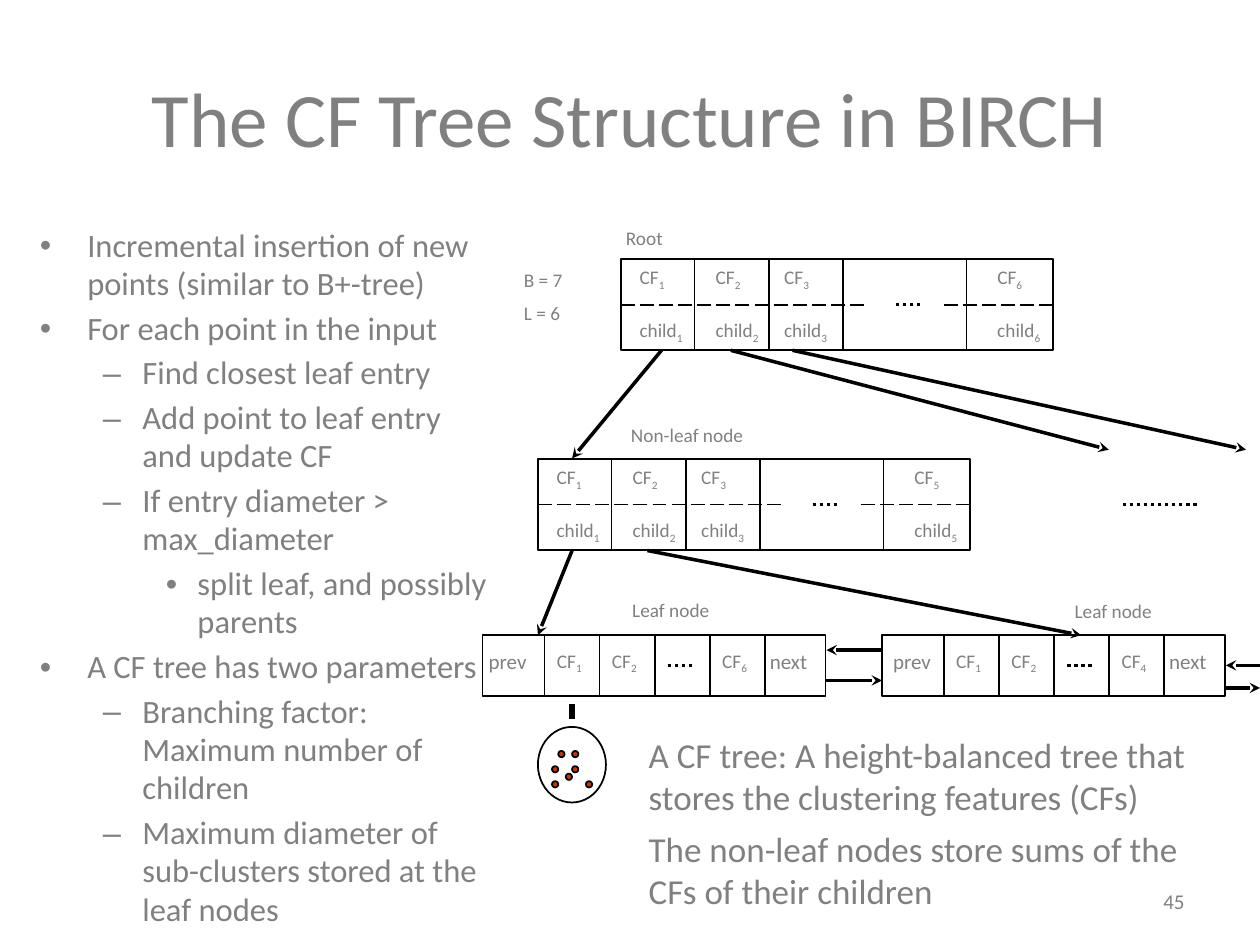
from dataclasses import dataclass

from lxml import etree
from pptx import Presentation
from pptx.dml.color import RGBColor
from pptx.enum import dml, shapes, text
from pptx.oxml.ns import qn
from pptx.util import Pt

COLOURS = {"text": "808080", "line": "000000", "point": "CC3300"}
FONT = "Calibri"
DASH = dml.MSO_LINE.LONG_DASH
DOTS = dml.MSO_LINE.ROUND_DOT
INNER_WIDTH, INNER_HEIGHT = 247, 52.2
LEAF_WIDTH, LEAF_HEIGHT = 196, 34.6
FIRST_CELL, CELL = 35.3, 31.5


@dataclass
class InnerNode:
    left: float
    top: float
    last: str


@dataclass
class LeafNode:
    left: float
    last: str
    prev_shift: float


@dataclass
class Label:
    words: str
    left: float
    top: float
    width: float


@dataclass
class Level:
    margin: float
    hang: float
    bullet: str


@dataclass
class Arrow:
    start: tuple[float, float]
    end: tuple[float, float]


LEVELS = [Level(27, 27, "•"), Level(58.5, 22.5, "–"), Level(90, 18, "•")]
BULLETS = [
    (0, "Incremental insertion of new points (similar to B+-tree)"),
    (0, "For each point in the input"),
    (1, "Find closest leaf entry"),
    (1, "Add point to leaf entry and update CF"),
    (1, "If entry diameter > max_diameter"),
    (2, "split leaf, and possibly parents"),
    (0, "A CF tree has two parameters"),
    (1, "Branching factor: Maximum number of children"),
    (1, "Maximum diameter of sub-clusters stored at the leaf nodes"),
]
INNER_NODES = [InnerNode(354.8, 148, "6"), InnerNode(307.4, 262.2, "5")]
LEAF_TOP = 363
LEAF_NODES = [LeafNode(275.8, "6", -3.6), LeafNode(504, "4", -0.7)]
LABELS = [
    Label("Root", 350.6, 126, 51),
    Label("Non-leaf node", 353.5, 238.3, 102),
    Label("Leaf node", 354.2, 338.4, 75),
    Label("Leaf node", 607, 339.1, 75),
]
ARROWS = [
    Arrow((378, 200.2), (326.9, 262)),
    Arrow((417.6, 200.2), (633.6, 257)),
    Arrow((452.9, 200.2), (712, 257)),
    Arrow((326.9, 314.6), (307.4, 363)),
    Arrow((370, 314.6), (617.8, 363)),
    Arrow((504, 371.5), (472.3, 371.5)),
    Arrow((472.3, 388.8), (504, 388.8)),
    Arrow((700.5, 393.1), (720, 393.1)),
    Arrow((720, 380.2), (700.5, 380.2)),
]
POINTS = [(319, 429.1), (326.9, 437.8), (326.9, 429.1), (315.4, 446.4),
          (315.4, 437.8), (323.3, 442.1), (334.8, 446.4)]


def colour(name: str) -> RGBColor:
    return RGBColor.from_string(COLOURS[name])


def add_span(para, words: str, size: float, subscript: bool = False) -> None:
    span = para.add_run()
    span.text = words
    span.font.size = Pt(size)
    span.font.name = FONT
    span.font.color.rgb = colour("text")
    if subscript:
        span.font._element.set("baseline", "-25000")


def add_box(page, left: float, top: float, width: float, height: float):
    box = page.shapes.add_textbox(Pt(left), Pt(top), Pt(width), Pt(height))
    box.text_frame.word_wrap = True
    return box.text_frame


def add_paras(frame, lines: list[str], size: float, gap: float) -> None:
    for index, words in enumerate(lines):
        para = frame.add_paragraph() if index else frame.paragraphs[0]
        if index:
            para.space_before = Pt(gap)
        add_span(para, words, size)


def add_label(page, label: Label, size: float = 11, index: str = "") -> None:
    """Write a short label, with an optional subscript index."""
    frame = add_box(page, label.left, label.top, label.width, 21)
    para = frame.paragraphs[0]
    add_span(para, label.words, size)
    if index:
        add_span(para, index, size, subscript=True)


def add_line(page, start, end, width: float = 1, dash=None, arrow: bool = False) -> None:
    line = page.shapes.add_connector(
        shapes.MSO_CONNECTOR.STRAIGHT, *(Pt(value) for value in (*start, *end)))
    line.line.color.rgb = colour("line")
    line.line.width = Pt(width)
    if dash is not None:
        line.line.dash_style = dash
    if arrow:
        etree.SubElement(line.line._get_or_add_ln(), qn("a:tailEnd"), type="stealth")
    etree.SubElement(line._element.spPr, qn("a:effectLst"))


def add_outline(page, kind, left: float, top: float, width: float, height: float,
                fill: str = "") -> None:
    shape = page.shapes.add_shape(kind, Pt(left), Pt(top), Pt(width), Pt(height))
    shape.shadow.inherit = False
    shape.line.color.rgb = colour("line")
    shape.line.width = Pt(1)
    if fill:
        shape.fill.solid()
        shape.fill.fore_color.rgb = colour(fill)
    else:
        shape.fill.background()


def add_inner_node(page, node: InnerNode) -> None:
    left, top = node.left, node.top
    add_outline(page, shapes.MSO_SHAPE.RECTANGLE, left, top, INNER_WIDTH, INNER_HEIGHT)
    for offset in (42, 84.5, 127, 197.5):
        add_line(page, (left + offset, top), (left + offset, top + INNER_HEIGHT))
    middle = top + INNER_HEIGHT / 2
    for start, end in ((0, 141.5), (184.5, INNER_WIDTH)):
        add_line(page, (left + start, middle), (left + end, middle), dash=DASH)
    add_line(page, (left + 157, middle), (left + 172.5, middle), 2, DOTS)
    for offset, index in zip((3.6, 47, 86.2, 208), ("1", "2", "3", node.last)):
        add_label(page, Label("CF", left + offset, top, 35.3), index=index)
        add_label(page, Label("child", left + offset, top + 30.4, 47.5), index=index)


def add_leaf_node(page, node: LeafNode) -> None:
    left, text_top = node.left, LEAF_TOP + 4.2
    add_outline(page, shapes.MSO_SHAPE.RECTANGLE, left, LEAF_TOP, LEAF_WIDTH, LEAF_HEIGHT)
    for column, index in enumerate(("1", "2", "", node.last, "")):
        x = left + FIRST_CELL + column * CELL
        add_line(page, (x, LEAF_TOP), (x, LEAF_TOP + LEAF_HEIGHT))
        if index:
            add_label(page, Label("CF", x, text_top, 35.3), index=index)
    middle = LEAF_TOP + LEAF_HEIGHT / 2
    add_line(page, (left + 105.8, middle), (left + 121.6, middle), 2, DOTS)
    add_label(page, Label("prev", left + node.prev_shift, text_top, 43.2), 12)
    add_label(page, Label("next", left + 157, text_top, 39.6), 12)


def add_bullets(page) -> None:
    frame = add_box(page, 15.8, 126, 275.8, 403.2)
    add_paras(frame, [words for _, words in BULLETS], 18.6, 3.7)
    for para, (depth, _) in zip(frame.paragraphs, BULLETS):
        level = LEVELS[depth]
        para.level = depth
        para.line_spacing = 0.98
        props = para._p.get_or_add_pPr()
        props.set("marL", str(Pt(level.margin)))
        props.set("indent", str(-Pt(level.hang)))
        etree.SubElement(props, qn("a:buFont"), typeface="Arial")
        etree.SubElement(props, qn("a:buChar"), char=level.bullet)


def main() -> None:
    deck = Presentation()
    deck.slide_width, deck.slide_height = Pt(720), Pt(540)
    page = deck.slides.add_slide(deck.slide_layouts[5])

    title = page.shapes.title
    title.left, title.top, title.width, title.height = Pt(36), Pt(21.6), Pt(648), Pt(90)
    title.text_frame.vertical_anchor = text.MSO_ANCHOR.MIDDLE
    title.text_frame.paragraphs[0].alignment = text.PP_ALIGN.CENTER
    add_span(title.text_frame.paragraphs[0], "The CF Tree Structure in BIRCH", 44)
    add_bullets(page)

    number = add_box(page, 516, 500.4, 168, 28.8)
    number.vertical_anchor = text.MSO_ANCHOR.MIDDLE
    number.paragraphs[0].alignment = text.PP_ALIGN.RIGHT
    add_span(number.paragraphs[0], "45", 12)

    for node in INNER_NODES:
        add_inner_node(page, node)
    for leaf in LEAF_NODES:
        add_leaf_node(page, leaf)
    for arrow in ARROWS:
        add_line(page, arrow.start, arrow.end, 2, arrow=True)
    for label in LABELS:
        add_label(page, label)
    add_line(page, (641.5, 288.3), (684.7, 288.3), 2, DOTS)
    add_paras(add_box(page, 292.3, 149.8, 54.7, 40.3), ["B = 7", "L = 6"], 11, 5.5)

    for left, top in POINTS:
        add_outline(page, shapes.MSO_SHAPE.OVAL, left, top, 3.6, 3.6, "point")
    add_outline(page, shapes.MSO_SHAPE.OVAL, 307.4, 415.4, 38.9, 43.2)
    add_line(page, (326.9, 402.5), (326.9, 411.1), 3)
    add_paras(add_box(page, 363.6, 415.4, 345.6, 124.6), [
        "A CF tree: A height-balanced tree that stores the clustering features (CFs)",
        "The non-leaf nodes store sums of the CFs of their children",
    ], 20, 6)
    deck.save("out.pptx")


if __name__ == "__main__":
    main()
